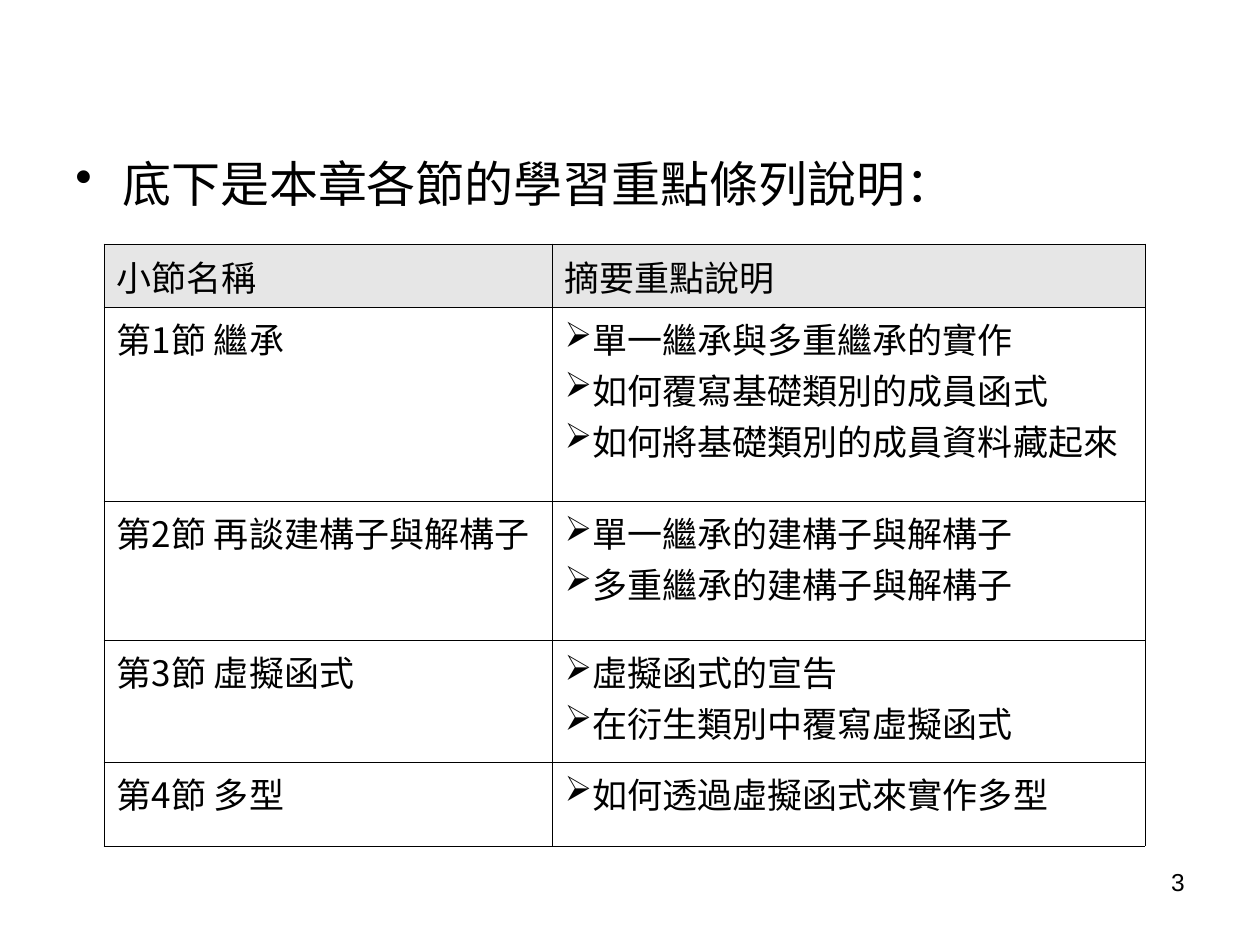
from lxml import etree
from pptx import Presentation, util as u
from pptx.dml.color import RGBColor
from pptx.enum import text
from pptx.oxml.ns import qn

HEADING = "底下是本章各節的學習重點條列說明："
HEADER = ("小節名稱", "摘要重點說明")
SECTIONS = [
    ("第1節 繼承", ["單一繼承與多重繼承的實作", "如何覆寫基礎類別的成員函式",
                 "如何將基礎類別的成員資料藏起來"]),
    ("第2節 再談建構子與解構子", ["單一繼承的建構子與解構子", "多重繼承的建構子與解構子"]),
    ("第3節 虛擬函式", ["虛擬函式的宣告", "在衍生類別中覆寫虛擬函式"]),
    ("第4節 多型", ["如何透過虛擬函式來實作多型"]),
]
PAGE = "3"

PX = 914400 // 126
COLS = (448, 593)
ROWS = (63, 194, 139, 122, 84)
LATIN, CJK = "Arial", "Noto Sans CJK SC"
BLACK = RGBColor(0, 0, 0)
GREY = RGBColor(0xE6, 0xE6, 0xE6)


def px(*lengths):
    return [n * PX for n in lengths]


def write(tf, lines, size, font, bullet=None, hang=0):
    tf.text = "\n".join(lines)
    tf.word_wrap = True
    for p in tf.paragraphs:
        if bullet:
            pPr = p._p.get_or_add_pPr()
            pPr.set("marL", str(hang * PX))
            pPr.set("indent", str(-hang * PX))
            color = etree.SubElement(pPr, qn("a:buClr"))
            etree.SubElement(color, qn("a:srgbClr"), val=str(BLACK))
            etree.SubElement(pPr, qn("a:buChar"), char=bullet)
        for r in p.runs:
            r.font.size, r.font.name = u.Pt(size), font
            r.font.color.rgb = BLACK
            etree.SubElement(r._r.get_or_add_rPr(), qn("a:ea"), typeface=CJK)


def add_borders(cell):
    tcPr = cell._tc.get_or_add_tcPr()
    for side in ("lnL", "lnR", "lnT", "lnB"):
        ln = etree.SubElement(tcPr, qn("a:" + side), w=str(u.Pt(0.45)))
        fill = etree.SubElement(ln, qn("a:solidFill"))
        etree.SubElement(fill, qn("a:srgbClr"), val=str(BLACK))


prs = Presentation()
prs.slide_width, prs.slide_height = px(1260, 945)
s = prs.slides.add_slide(prs.slide_layouts[6])

# Heading
sp = s.shapes.add_textbox(*px(63, 147, 1092, 693))
write(sp.text_frame, [HEADING], 28, LATIN, "•", 47)

# Section table
table = s.shapes.add_table(len(ROWS), len(COLS),
                           *px(104, 244, sum(COLS), sum(ROWS))).table
table.first_row = table.horz_banding = False
for col, width in zip(table.columns, COLS):
    col.width = width * PX
for row, height in zip(table.rows, ROWS):
    row.height = height * PX

for i, (name, points) in enumerate([(HEADER[0], [HEADER[1]])] + SECTIONS):
    for j, lines in enumerate(([name], points)):
        cell = table.cell(i, j)
        write(cell.text_frame, lines, 20, CJK, "➢" if i and j else None)
        add_borders(cell)
        if i:
            cell.fill.background()
        else:
            cell.fill.solid()
            cell.fill.fore_color.rgb = GREY

# Page number
sp = s.shapes.add_textbox(*px(903, 861, 294, 66))
write(sp.text_frame, [PAGE], 14, LATIN)
sp.text_frame.paragraphs[0].alignment = text.PP_ALIGN.RIGHT

prs.save("out.pptx")
